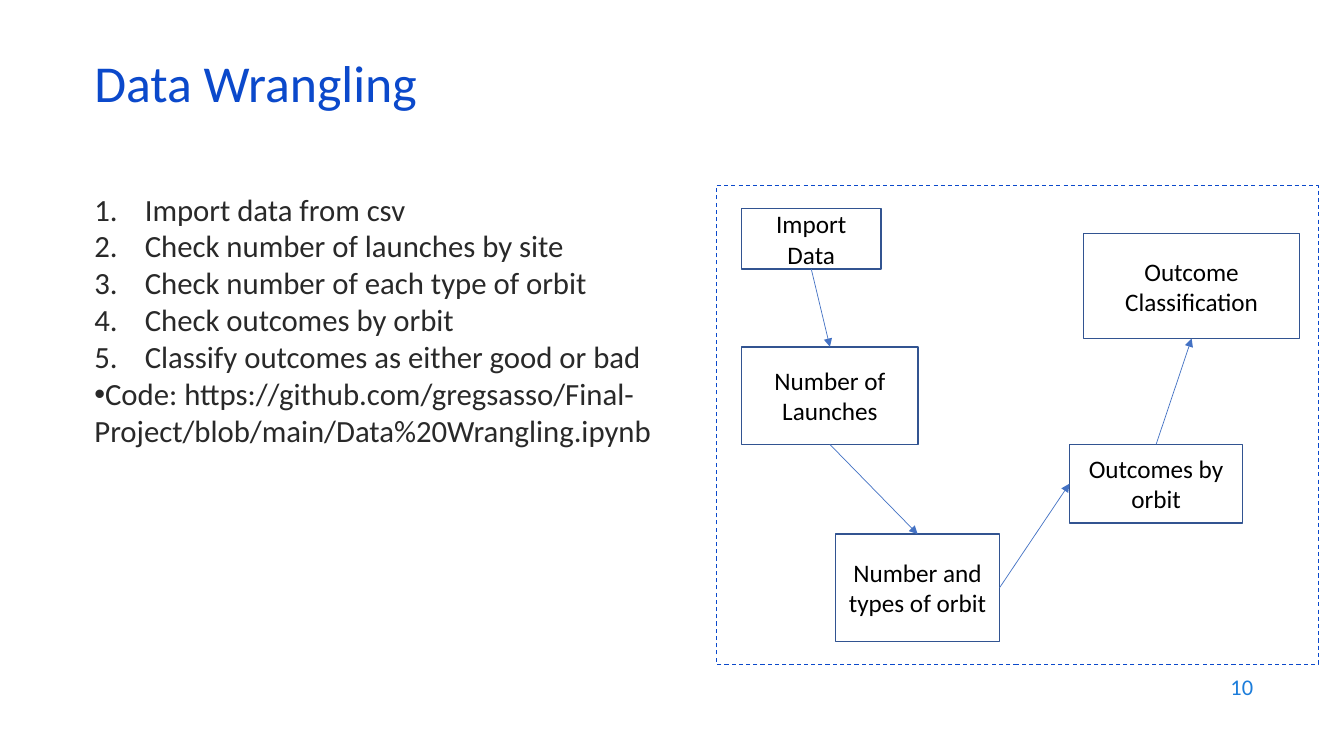
import pptx
import pptx.util
import pptx.dml.color
import pptx.enum.dml
import pptx.enum.shapes
import pptx.enum.text
import pptx.oxml
import pptx.oxml.ns

Cm = pptx.util.Cm
Pt = pptx.util.Pt
ALIGN = pptx.enum.text.PP_ALIGN
ANCHOR = pptx.enum.text.MSO_ANCHOR

TITLE = "Data Wrangling"
PAGE_NUMBER = "10"
STEPS = [
    "Import data from csv",
    "Check number of launches by site",
    "Check number of each type of orbit",
    "Check outcomes by orbit",
    "Classify outcomes as either good or bad",
]
CODE_LINK = "Code: https://github.com/gregsasso/Final-Project/blob/main/Data%20Wrangling.ipynb"

FRAME = (18.06, 4.67, 15.16, 12.07)
FLOW_BOXES = [
    ("Import Data", (18.69, 5.26, 3.51, 1.52)),
    ("Number of Launches", (18.69, 8.74, 4.45, 2.46)),
    ("Number and types of orbit", (21.06, 13.46, 4.13, 2.7)),
    ("Outcomes by orbit", (26.95, 11.2, 4.37, 1.98)),
    ("Outcome Classification", (27.31, 5.89, 5.44, 2.64)),
]
TOP, LEFT, BOTTOM, RIGHT = range(4)
FLOW_SIDES = [(BOTTOM, TOP), (BOTTOM, TOP), (RIGHT, LEFT), (TOP, BOTTOM)]


def color(hex_value):
    return pptx.dml.color.RGBColor.from_string(hex_value)


def add_element(parent, tag, attributes=""):
    namespace = pptx.oxml.ns.nsdecls("a")
    parent.append(pptx.oxml.parse_xml(f"<a:{tag} {namespace} {attributes}/>"))


def style(paragraph, size, hex_value, alignment=ALIGN.LEFT):
    paragraph.alignment = alignment
    paragraph.font.name = "Calibri"
    paragraph.font.size = Pt(size)
    paragraph.font.color.rgb = color(hex_value)


def add_text(slide, box, anchor=ANCHOR.MIDDLE):
    frame = slide.shapes.add_textbox(*map(Cm, box)).text_frame
    frame.word_wrap = True
    frame.vertical_anchor = anchor
    return frame


def add_rectangle(slide, box, line_color, line_width):
    shape = slide.shapes.add_shape(
        pptx.enum.shapes.MSO_SHAPE.RECTANGLE, *map(Cm, box))
    shape.shadow.inherit = False
    shape.line.color.rgb = color(line_color)
    shape.line.width = Pt(line_width)
    return shape


def add_steps(slide):
    frame = add_text(slide, (2.13, 4.67, 15.16, 12.09), ANCHOR.TOP)
    for index, text in enumerate(STEPS + [CODE_LINK]):
        paragraph = frame.paragraphs[0] if index == 0 else frame.add_paragraph()
        paragraph.text = text
        paragraph.line_spacing = Pt(26.4)
        properties = paragraph._p.get_or_add_pPr()
        if index < len(STEPS):
            properties.set("marL", str(Cm(1.27)))
            properties.set("indent", str(-Cm(1.27)))
            add_element(properties, "buFont", 'typeface="+mj-lt"')
            add_element(properties, "buAutoNum", 'type="arabicPeriod"')
        else:
            properties.set("marL", "0")
            properties.set("indent", "0")
            add_element(properties, "buFont", 'typeface="Arial"')
            add_element(properties, "buChar", 'char="•"')
        style(paragraph, 22, "292929")


def add_flow(slide):
    frame = add_rectangle(slide, FRAME, "0B49CB", 0.75)
    frame.fill.background()
    frame.line.dash_style = pptx.enum.dml.MSO_LINE.DASH

    boxes = []
    for text, position in FLOW_BOXES:
        box = add_rectangle(slide, position, "325491", 1)
        box.fill.solid()
        box.fill.fore_color.rgb = color("FFFFFF")
        box.text_frame.word_wrap = True
        box.text_frame.vertical_anchor = ANCHOR.MIDDLE
        box.text_frame.text = text
        style(box.text_frame.paragraphs[0], 18, "000000", ALIGN.CENTER)
        boxes.append(box)

    for start, end, (start_side, end_side) in zip(boxes, boxes[1:], FLOW_SIDES):
        arrow = slide.shapes.add_connector(
            pptx.enum.shapes.MSO_CONNECTOR.STRAIGHT, 0, 0, 0, 0)
        arrow.begin_connect(start, start_side)
        arrow.end_connect(end, end_side)
        arrow.line.color.rgb = color("4472C4")
        arrow.line.width = Pt(0.5)
        add_element(arrow.line._get_or_add_ln(), "tailEnd", 'type="triangle"')
        add_element(arrow._element.spPr, "effectLst")


def main():
    presentation = pptx.Presentation()
    presentation.slide_width = Cm(33.87)
    presentation.slide_height = Cm(19.05)
    slide = presentation.slides.add_slide(presentation.slide_layouts[6])

    number = add_text(slide, (24.21, 16.74, 7.62, 1.12))
    number.text = PAGE_NUMBER
    style(number.paragraphs[0], 16, "1C7DDB", ALIGN.RIGHT)

    add_steps(slide)

    title = add_text(slide, (2.13, 1.5, 29.21, 1.52))
    title.text = TITLE
    title.paragraphs[0].line_spacing = 0.7
    style(title.paragraphs[0], 37, "0B49CB")

    add_flow(slide)
    presentation.save("out.pptx")


if __name__ == "__main__":
    main()
